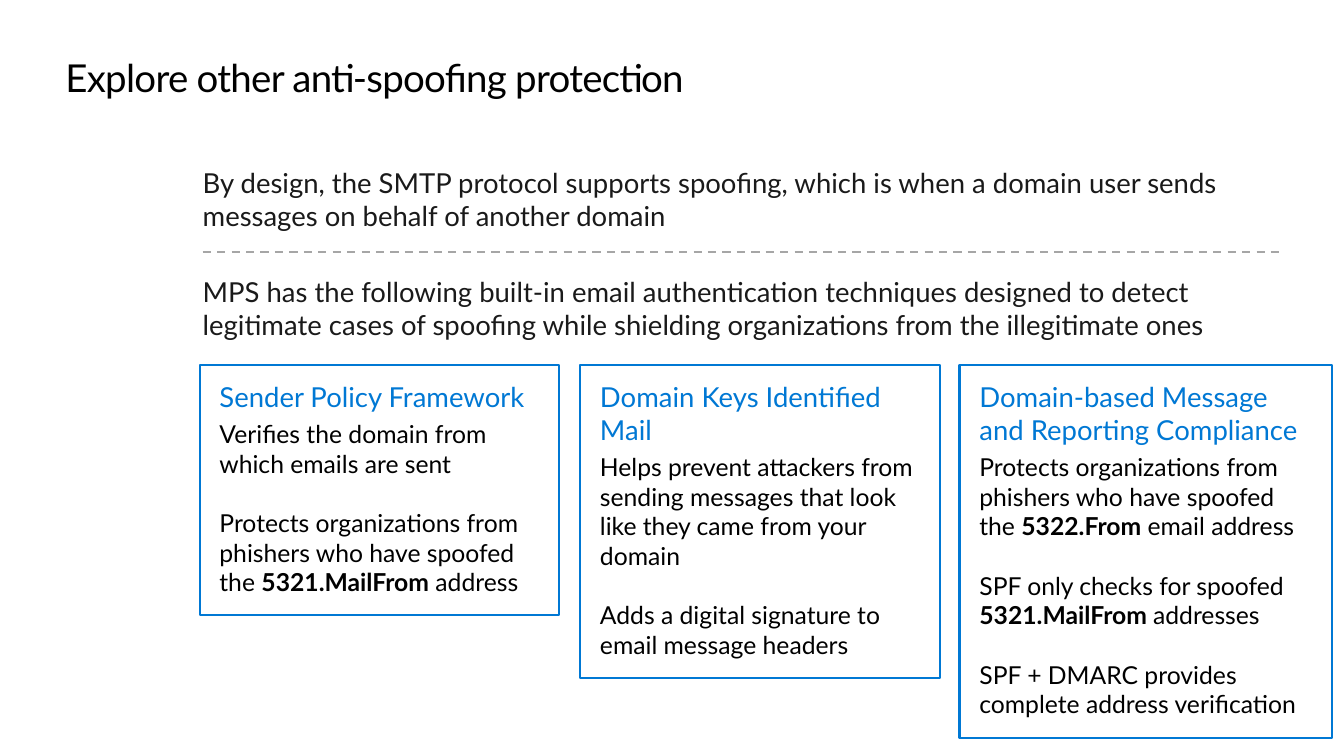
from typing import NamedTuple

from lxml.etree import SubElement
from pptx import Presentation
from pptx.dml.color import RGBColor
from pptx.enum.dml import MSO_LINE
from pptx.enum.shapes import MSO_CONNECTOR, MSO_SHAPE
from pptx.enum.text import MSO_ANCHOR, MSO_AUTO_SIZE, PP_ALIGN
from pptx.oxml.ns import qn
from pptx.util import Cm, Pt

FONT = "Lato"
BLACK = RGBColor(0x00, 0x00, 0x00)
INK = RGBColor(0x1A, 0x1A, 0x1A)
BLUE = RGBColor(0x00, 0x78, 0xD4)
GREY = RGBColor(0xA6, 0xA6, 0xA6)

TEXT_LEFT = 5.21
CARD_TOP = 9.37
BODY_SIZE = 18
BODY_GAP = 21.6


class Span(NamedTuple):
    text: str
    bold: bool = False


class Statement(NamedTuple):
    top: float
    text: str


class Card(NamedTuple):
    left: float
    width: float
    height: float
    heading: str
    body: list[list[Span]]


STATEMENTS = [
    Statement(4.27, "By design, the SMTP protocol supports spoofing, which is when a domain "
                    "user sends messages on behalf of another domain"),
    Statement(7.06, "MPS has the following built-in email authentication techniques designed to "
                    "detect legitimate cases of spoofing while shielding organizations from the "
                    "illegitimate ones"),
]

CARDS = [
    Card(5.13, 9.25, 6.43, "Sender Policy Framework", [
        [Span("Verifies the domain from which emails are sent")],
        [Span("Protects organizations from phishers who have spoofed the "),
         Span("5321.MailFrom", True), Span(" address")],
    ]),
    Card(14.91, 9.25, 8.05, "Domain Keys Identified Mail", [
        [Span("Helps prevent attackers from sending messages that look like they came "
              "from your domain")],
        [Span("Adds a digital signature to email message headers")],
    ]),
    Card(24.66, 9.58, 9.6, "Domain-based Message and Reporting Compliance", [
        [Span("Protects organizations from phishers who have spoofed the "),
         Span("5322.From", True), Span(" email address")],
        [Span("SPF only checks for spoofed "), Span("5321.MailFrom ", True), Span("addresses")],
        [Span("SPF + DMARC provides complete address verification")],
    ]),
]


def set_frame(tf, inset_x: float = 0, inset_y: float = 0) -> None:
    tf.word_wrap = True
    tf.auto_size = MSO_AUTO_SIZE.NONE
    tf.vertical_anchor = MSO_ANCHOR.TOP
    tf.margin_left = tf.margin_right = Cm(inset_x)
    tf.margin_top = tf.margin_bottom = Cm(inset_y)


def add_run(p, text: str, size: float, color: RGBColor, bold: bool = False):
    p.alignment = PP_ALIGN.LEFT
    r = p.add_run()
    r.text = text
    r.font.name = FONT
    r.font.size = Pt(size)
    r.font.bold = bold
    r.font.color.rgb = color
    return r


def set_title(s, text: str) -> None:
    title = s.shapes.title
    title.left, title.top, title.width, title.height = Cm(1.68), Cm(1.4), Cm(31.22), Cm(1.22)
    set_frame(title.text_frame)
    r = add_run(title.text_frame.paragraphs[0], text, 28, BLACK)
    r._r.get_or_add_rPr().set("spc", "-50")


def add_statement(s, statement: Statement) -> None:
    sp = s.shapes.add_textbox(Cm(TEXT_LEFT), Cm(statement.top), Cm(27.46), Cm(1.7))
    set_frame(sp.text_frame)
    add_run(sp.text_frame.paragraphs[0], statement.text, 20, INK)


def add_divider(s) -> None:
    y = Cm(6.48)
    line = s.shapes.add_connector(MSO_CONNECTOR.STRAIGHT, Cm(TEXT_LEFT), y, Cm(32.87), y)
    line.line.color.rgb = GREY
    line.line.width = Pt(1.5)
    line.line.dash_style = MSO_LINE.DASH
    SubElement(line._element.spPr, qn("a:effectLst"))


def add_card(s, card: Card) -> None:
    sp = s.shapes.add_shape(MSO_SHAPE.RECTANGLE, Cm(card.left), Cm(CARD_TOP),
                            Cm(card.width), Cm(card.height))
    sp.shadow.inherit = False
    sp.fill.background()
    sp.line.color.rgb = BLUE
    sp.line.width = Pt(1.5)
    tf = sp.text_frame
    set_frame(tf, 0.51, 0.41)
    p = tf.paragraphs[0]
    p.space_after = Pt(4)
    add_run(p, card.heading, 20, BLUE)
    for i, spans in enumerate(card.body):
        p = tf.add_paragraph()
        p.space_before = Pt(BODY_GAP if i else 0)
        for span in spans:
            add_run(p, span.text, BODY_SIZE, BLACK, span.bold)


def main() -> None:
    prs = Presentation()
    prs.slide_width, prs.slide_height = Cm(34.54), Cm(19.43)
    s = prs.slides.add_slide(prs.slide_layouts[5])
    set_title(s, "Explore other anti-spoofing protection")
    for statement in STATEMENTS:
        add_statement(s, statement)
    add_divider(s)
    for card in CARDS:
        add_card(s, card)
    prs.save("out.pptx")


if __name__ == "__main__":
    main()
